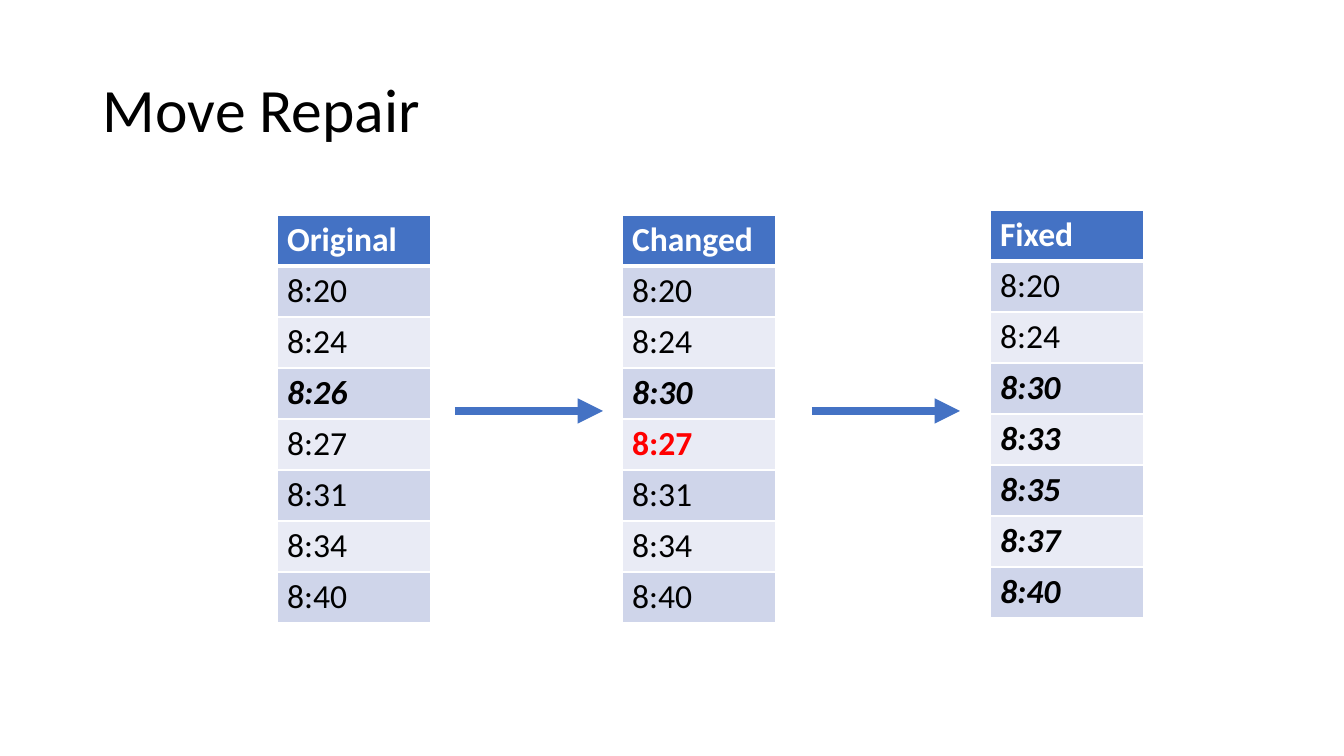
from lxml.etree import SubElement
from pptx import Presentation
from pptx.dml.color import RGBColor
from pptx.enum.shapes import MSO_CONNECTOR
from pptx.enum.text import MSO_ANCHOR
from pptx.oxml.ns import qn
from pptx.util import Pt

TITLE = "Move Repair"
TABLES = [
    (622, 215, "Changed", ["8:20", "8:24", "8:30", "8:27", "8:31", "8:34", "8:40"],
     {"8:30": "moved", "8:27": "conflict"}),
    (277, 215, "Original", ["8:20", "8:24", "8:26", "8:27", "8:31", "8:34", "8:40"],
     {"8:26": "moved"}),
    (990, 210, "Fixed", ["8:20", "8:24", "8:30", "8:33", "8:35", "8:37", "8:40"],
     dict.fromkeys(["8:30", "8:33", "8:35", "8:37", "8:40"], "moved")),
]
ARROWS = [455, 812]
COLORS = {"text": "000000", "white": "FFFFFF", "accent": "4472C4",
          "odd": "CFD5EA", "even": "E9EBF5", "alert": "FF0000"}
STYLES = {"header": ("white", True, False), "plain": ("text", False, False),
          "moved": ("text", True, True), "conflict": ("alert", True, False)}
COL_W, ROW_H = 154, 51
ARROW_Y, ARROW_W = 411, 148


def px(n):
    """Turn pixels into EMU."""
    return round(n * 914400 / 100.8)


def rgb(name):
    """Look up a colour."""
    return RGBColor.from_string(COLORS[name])


def add_run(p, text, size, style):
    """Add one styled run."""
    color, bold, italic = STYLES[style]
    r = p.add_run()
    r.text = text
    r.font.name, r.font.size = "Calibri", Pt(size)
    r.font.bold, r.font.italic = bold, italic
    r.font.color.rgb = rgb(color)


def add_borders(cell, row):
    """Draw white borders, thicker below the header."""
    tcPr = cell._tc.get_or_add_tcPr()
    for side in "LRTB":
        thick = (side, row) in (("B", 0), ("T", 1))
        ln = SubElement(tcPr, qn(f"a:ln{side}"), w=str(Pt(3 if thick else 1)))
        fill = SubElement(ln, qn("a:solidFill"))
        SubElement(fill, qn("a:srgbClr"), val=COLORS["white"])


def add_times(s, x, y, header, times, marks):
    """Add one table of times."""
    rows = [header] + times
    table = s.shapes.add_table(len(rows), 1, px(x), px(y), px(COL_W),
                               px(ROW_H * len(rows))).table
    for i, text in enumerate(rows):
        table.rows[i].height = px(ROW_H)
        cell = table.cell(i, 0)
        add_borders(cell, i)
        cell.fill.solid()
        cell.fill.fore_color.rgb = rgb("accent" if i == 0 else "odd" if i % 2 else "even")
        style = marks.get(text, "plain") if i else "header"
        add_run(cell.text_frame.paragraphs[0], text, 24, style)


def add_arrow(s, x):
    """Add one arrow pointing right."""
    sp = s.shapes.add_connector(MSO_CONNECTOR.STRAIGHT, px(x), px(ARROW_Y),
                                px(x + ARROW_W), px(ARROW_Y))
    sp.line.color.rgb = rgb("accent")
    sp.line.width = Pt(6)
    SubElement(sp.line._get_or_add_ln(), qn("a:tailEnd"), type="triangle")
    SubElement(sp._element.spPr, qn("a:effectLst"))


prs = Presentation()
prs.slide_width, prs.slide_height = px(1344), px(756)
s = prs.slides.add_slide(prs.slide_layouts[6])

tf = s.shapes.add_textbox(px(93), px(40), px(1159), px(146)).text_frame
tf.word_wrap = True
tf.vertical_anchor = MSO_ANCHOR.MIDDLE
p = tf.paragraphs[0]
p.line_spacing = 0.9
add_run(p, TITLE, 44, "plain")

for spec_row in TABLES:
    add_times(s, *spec_row)
for x in ARROWS:
    add_arrow(s, x)

prs.save("out.pptx")
